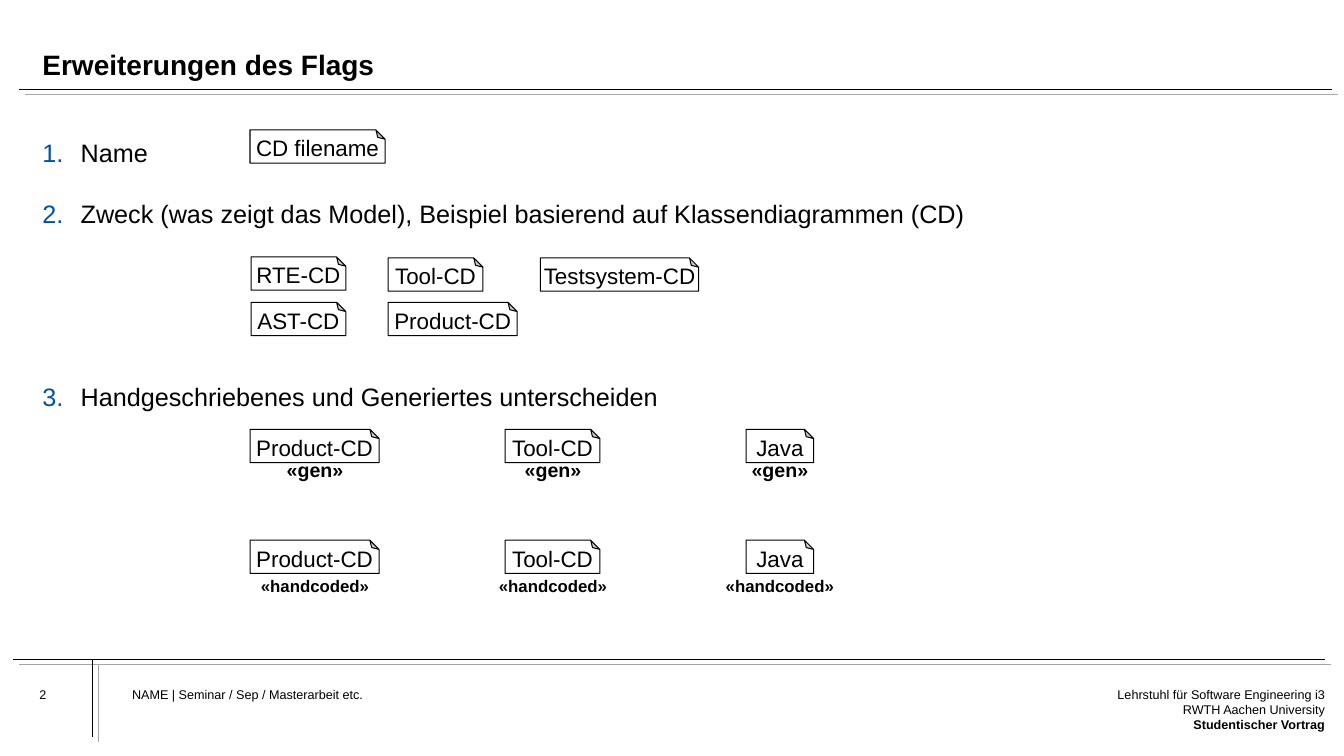
from pptx import Presentation
from pptx.dml.color import RGBColor as RGB
from pptx.enum.shapes import MSO_CONNECTOR as LINK, MSO_SHAPE as SHAPE
from pptx.enum.text import MSO_ANCHOR as ANCHOR, MSO_AUTO_SIZE as FIT, PP_ALIGN as ALIGN
from pptx.oxml.ns import qn
from pptx.util import Pt
from lxml.etree import SubElement as Sub

PX = 9144  # 100 px to the inch
theme = {
    "font": "Arial", "ink": "000000", "paper": "FFFFFF", "pale": "A6A6A6", "accent": "00549F",
    "title": 20, "body": 18, "flag": 16, "gen": 14, "hand": 12, "foot": 9,
}


def write(para, text, size, bold=False, align=ALIGN.LEFT):
    para.alignment = align
    run = para.add_run()
    run.text = text
    font = run.font
    font.name, font.size, font.bold = theme["font"], Pt(theme[size]), bold
    font.color.rgb = RGB.from_string(theme["ink"])


def setup(shape, area, anchor=ANCHOR.TOP, wrap=True, inset=0):
    shape.left, shape.top, shape.width, shape.height = [n * PX for n in area]
    frame = shape.text_frame
    frame.auto_size, frame.word_wrap = FIT.NONE, wrap
    frame.vertical_anchor = anchor
    frame.margin_left = frame.margin_right = inset * PX
    frame.margin_top = frame.margin_bottom = inset * PX // 2
    return frame


deck = Presentation()
deck.slide_width, deck.slide_height = 1333 * PX, 750 * PX
slide = deck.slides.add_slide(deck.slide_layouts[1])
shapes = slide.shapes

# Double rules: a dark line and its pale echo
for x1, y1, x2, y2 in [(19, 89, 1321, 89), (13, 654, 1314, 654), (92, 654, 92, 731)]:
    for dx, dy, tone in [(0, 0, "ink"), (6, 5, "pale")]:
        ends = (x1 + dx, y1 + dy, x2 + dx, y2 + dy)
        rule = shapes.add_connector(LINK.STRAIGHT, *[n * PX for n in ends])
        rule.line.width = Pt(0.5)
        rule.line.color.rgb = RGB.from_string(theme[tone])
        Sub(rule._element.spPr, qn("a:effectLst"))

# Footer
foot = [
    ((39, 681, 80, 43), ALIGN.LEFT, ["2"]),
    ((131, 681, 766, 69), ALIGN.LEFT, ["NAME | Seminar / Sep / Masterarbeit etc."]),
    ((1099, 681, 215, 69), ALIGN.RIGHT,
     ["Lehrstuhl für Software Engineering i3", "RWTH Aachen University", "Studentischer Vortrag"]),
]
for area, align, lines in foot:
    frame = setup(shapes.add_textbox(0, 0, 0, 0), area)
    for i, text in enumerate(lines):
        para = frame.add_paragraph() if i else frame.paragraphs[0]
        write(para, text, "foot", i == 2, align)

# Title
frame = setup(shapes.title, (42, 22, 1256, 59), ANCHOR.BOTTOM)
frame.paragraphs[0].line_spacing = 0.9
write(frame.paragraphs[0], "Erweiterungen des Flags", "title", True)

# Numbered list, spaced to leave room for the flags
items = [
    (0, "Name"),
    (22, "Zweck (was zeigt das Model), Beispiel basierend auf Klassendiagrammen (CD)"),
    (109, "Handgeschriebenes und Generiertes unterscheiden"),
]
frame = setup(slide.placeholders[1], (42, 136, 1256, 480))
for i, (gap, text) in enumerate(items):
    para = frame.add_paragraph() if i else frame.paragraphs[0]
    para.space_before, para.space_after = Pt(gap), Pt(0)
    write(para, text, "body")
    props = para._p.get_or_add_pPr()
    props.set("marL", str(38 * PX))
    props.set("indent", str(-38 * PX))
    Sub(Sub(props, qn("a:buClr")), qn("a:srgbClr"), val=theme["accent"])
    Sub(props, qn("a:buFont"), typeface=theme["font"])
    Sub(props, qn("a:buAutoNum"), type="arabicPeriod")

# Flags: name, left, top, width
flags = [
    ("CD filename", 248, 129, 134),
    ("RTE-CD", 249, 255, 94),
    ("AST-CD", 249, 300, 94),
    ("Tool-CD", 385, 256, 94),
    ("Product-CD", 385, 300, 128),
    ("Testsystem-CD", 536, 256, 157),
]
# Stereotype rows: flag top, tag, tag offset, tag height, tag size
kinds = [(426, "«gen»", 23, 34, "gen"), (536, "«handcoded»", 30, 30, "hand")]
for top, tag, drop, high, size in kinds:
    for name, left, wide in [("Product-CD", 248, 128), ("Tool-CD", 501, 94), ("Java", 740, 67)]:
        flags.append((name, left, top, wide))
        area = (left + wide // 2 - 64, top + drop, 129, high)
        frame = setup(shapes.add_textbox(0, 0, 0, 0), area, wrap=False, inset=10)
        write(frame.paragraphs[0], tag, size, True, ALIGN.CENTER)

for name, left, top, wide in flags:
    flag = shapes.add_shape(SHAPE.FOLDED_CORNER, 0, 0, 0, 0)
    frame = setup(flag, (left, top, wide, 33), ANCHOR.MIDDLE, False, 10)
    flag.shadow.inherit = False
    flag.fill.solid()
    flag.fill.fore_color.rgb = RGB.from_string(theme["paper"])
    flag.line.width = Pt(0.75)
    flag.line.color.rgb = RGB.from_string(theme["ink"])
    # Fold size, fold at the top, text kept upright
    props = flag._element.spPr
    Sub(props.find(".//" + qn("a:avLst")), qn("a:gd"), name="adj", fmla="val 27600")
    props.find(qn("a:xfrm")).set("flipV", "1")
    frame._txBody.find(qn("a:bodyPr")).set("rot", "10800000")
    frame.paragraphs[0].line_spacing = 0.7
    write(frame.paragraphs[0], name, "flag", align=ALIGN.CENTER)

deck.save("out.pptx")
